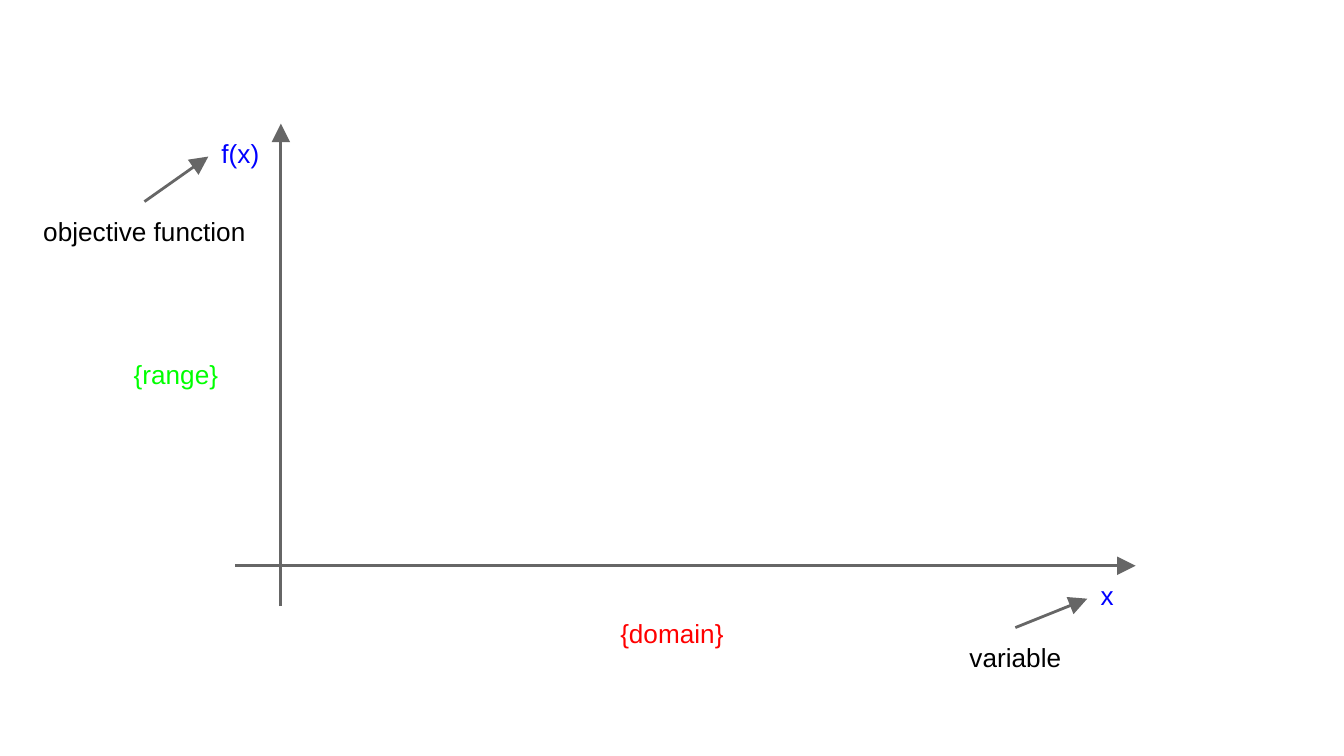
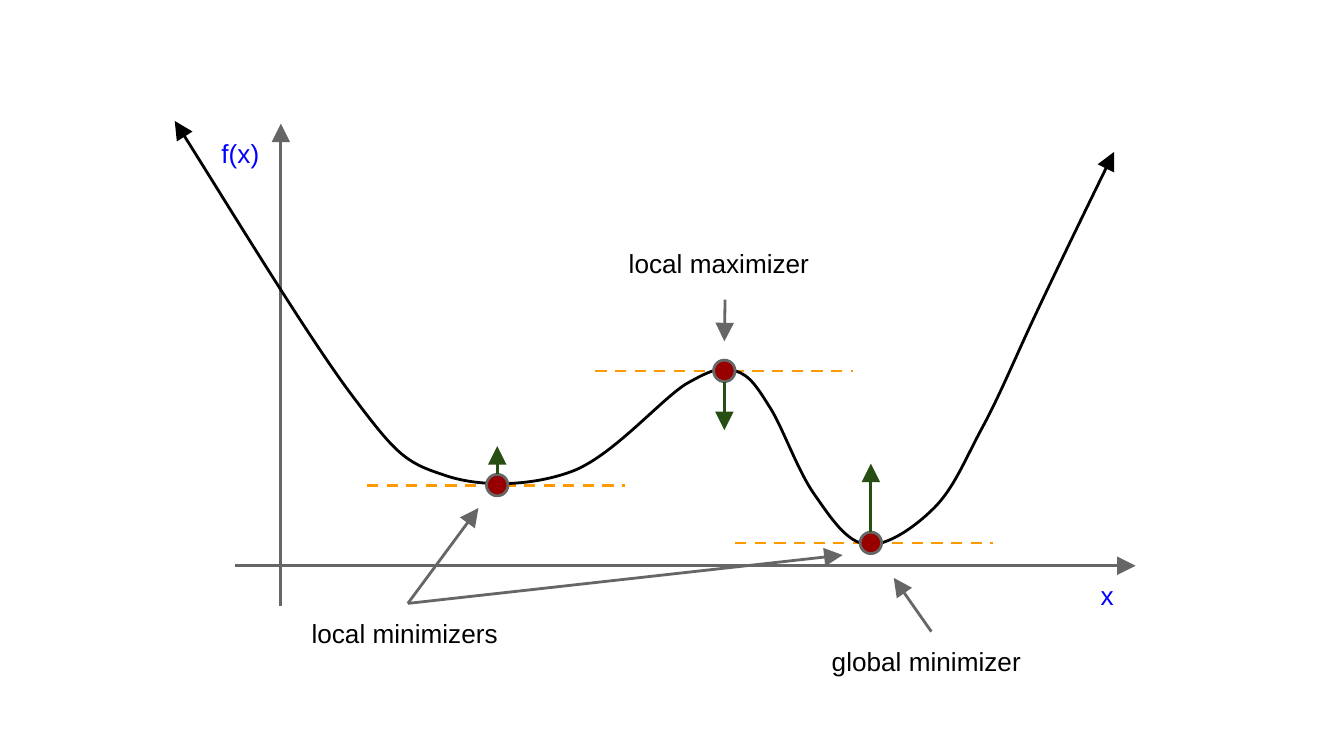
from lxml import etree
from pptx import Presentation
from pptx import util as u
from pptx.dml.color import RGBColor
from pptx.enum import dml, shapes, text
from pptx.oxml import ns

GREY = RGBColor(0x66, 0x66, 0x66)
BLACK = RGBColor(0, 0, 0)
BLUE = RGBColor(0, 0, 0xFF)
RED = RGBColor(0xFF, 0, 0)
GREEN = RGBColor(0, 0xFF, 0)
ORANGE = RGBColor(0xFF, 0x99, 0)
DARK_RED = RGBColor(0x98, 0, 0)
DARK_GREEN = RGBColor(0x27, 0x4E, 0x13)
STROKE = u.Pt(1.5)
ARROWHEAD = {"type": "triangle", "w": "lg", "len": "lg"}
LABEL_HEIGHT = 0.49
DOT = 0.16
TANGENT = 1.92


def add_line(parent, start, end, color, arrow=True):
    line = parent.add_connector(
        shapes.MSO_CONNECTOR.STRAIGHT, *[u.Inches(v) for v in (*start, *end)])
    line.line.color.rgb = color
    line.line.width = STROKE
    if arrow:
        etree.SubElement(line.line._get_or_add_ln(), ns.qn("a:tailEnd"), ARROWHEAD)
    etree.SubElement(line._element.spPr, ns.qn("a:effectLst"))
    return line


def add_label(parent, words, left, top, width, color=BLACK, align=text.PP_ALIGN.LEFT):
    box = parent.add_textbox(*[u.Inches(v) for v in (left, top, width, LABEL_HEIGHT)])
    frame = box.text_frame
    frame.word_wrap = True
    frame.margin_left = frame.margin_right = u.Inches(0.1)
    frame.margin_top = frame.margin_bottom = u.Inches(0.1)
    paragraph = frame.paragraphs[0]
    paragraph.alignment = align
    run = paragraph.add_run()
    run.text = words
    run.font.name = "Arial"
    run.font.size = u.Pt(14)
    run.font.color.rgb = color
    return box


deck = Presentation()
deck.slide_width = u.Inches(10)
deck.slide_height = u.Inches(10 * 9 / 16)
terms = deck.slides.add_slide(deck.slide_layouts[6]).shapes
extrema = deck.slides.add_slide(deck.slide_layouts[6]).shapes

local_max, global_min, local_min = (5.39, 2.76), (6.48, 4.04), (3.7, 3.61)
for left, (x, y) in ((4.43, local_max), (5.47, global_min), (2.73, local_min)):
    tangent = add_line(extrema, (left, y), (left + TANGENT, y), ORANGE, False)
    tangent.line.dash_style = dml.MSO_LINE.DASH

axis_labels = []
for slide_shapes in (terms, extrema):
    axes = slide_shapes.add_group_shape().shapes
    add_line(axes, (2.09, 4.51), (2.09, 0.92), GREY)
    add_line(axes, (1.75, 4.21), (8.45, 4.21), GREY)
    x_label = add_label(axes, "x", 8.09, 4.21, 0.29, BLUE)
    f_label = add_label(axes, "f(x)", 1.55, 0.92, 0.54, BLUE)
    axis_labels.append((x_label, f_label))

x_label, f_label = axis_labels[0]
center = text.PP_ALIGN.CENTER
add_label(terms, "{domain}", 4.4, 4.49, 1.2, RED, center)
add_label(terms, "{range}", 0.71, 2.57, 1.2, GREEN, center)
for words, left, top, width, axis_label, tip in (
    ("objective function", 0.18, 1.5, 1.79, f_label, (1.55, 1.17)),
    ("variable", 7.04, 4.67, 1.03, x_label, (8.09, 4.46)),
):
    term = add_label(terms, words, left, top, width, align=center)
    pointer = add_line(terms, (left + width / 2, top), tip, GREY)
    pointer.begin_connect(term, 0)
    pointer.end_connect(axis_label, 1)

curve_points = [
    (1.3, 0.9),
    (1.52, 1.24), (2.28, 2.49), (2.61, 2.93),
    (2.94, 3.37), (3.01, 3.44), (3.29, 3.53),
    (3.56, 3.63), (3.95, 3.62), (4.25, 3.51),
    (4.55, 3.4), (4.9, 2.99), (5.1, 2.86),
    (5.31, 2.74), (5.37, 2.73), (5.47, 2.76),
    (5.58, 2.79), (5.64, 2.89), (5.74, 3.05),
    (5.83, 3.2), (5.94, 3.51), (6.06, 3.68),
    (6.18, 3.85), (6.3, 4.04), (6.45, 4.05),
    (6.6, 4.07), (6.81, 3.92), (6.95, 3.78),
    (7.1, 3.63), (7.18, 3.42), (7.31, 3.18),
    (7.44, 2.94), (7.55, 2.67), (7.71, 2.33),
    (7.87, 1.99), (8.19, 1.33), (8.29, 1.13),
]
curve_start, *curve_rest = [(u.Inches(x), u.Inches(y)) for x, y in curve_points]
builder = extrema.build_freeform(*curve_start)
builder.add_line_segments(curve_rest, close=False)
curve = builder.convert_to_shape()
curve.shadow.inherit = False
curve.fill.background()
curve.line.color.rgb = BLACK
curve.line.width = STROKE
for end in ("a:headEnd", "a:tailEnd"):
    etree.SubElement(curve.line._get_or_add_ln(), ns.qn(end), ARROWHEAD)
segments = list(curve._element.iter(ns.qn("a:lnTo")))
outline = segments[0].getparent()
for first in range(0, len(segments), 3):
    bezier = etree.SubElement(outline, ns.qn("a:cubicBezTo"))
    for segment in segments[first:first + 3]:
        bezier.append(segment[0])
        outline.remove(segment)

for x, y in (local_min, local_max, global_min):
    dot = extrema.add_shape(
        shapes.MSO_SHAPE.OVAL,
        *[u.Inches(v) for v in (x - DOT / 2, y - DOT / 2, DOT, DOT)])
    dot.shadow.inherit = False
    dot.fill.solid()
    dot.fill.fore_color.rgb = DARK_RED
    dot.line.color.rgb = GREY
    dot.line.width = STROKE

for (x, y), side, tip in ((local_min, -1, 3.32), (local_max, 1, 3.2), (global_min, -1, 3.45)):
    add_line(extrema, (x, y + side * DOT / 2), (x, tip), DARK_GREEN)

for words, left, top, width, side, tips in (
    ("local minimizers", 2.22, 4.49, 1.63, 0, [(3.56, 3.78), (6.27, 4.13)]),
    ("local maximizer", 4.58, 1.74, 1.63, 2, [(5.39, 2.54)]),
    ("global minimizer", 6.09, 4.7, 1.68, 0, [(6.65, 4.3)]),
):
    caption = add_label(extrema, words, left, top, width)
    for tip in tips:
        pointer = add_line(extrema, (left + width / 2, top), tip, GREY)
        pointer.begin_connect(caption, side)

deck.save("out.pptx")
